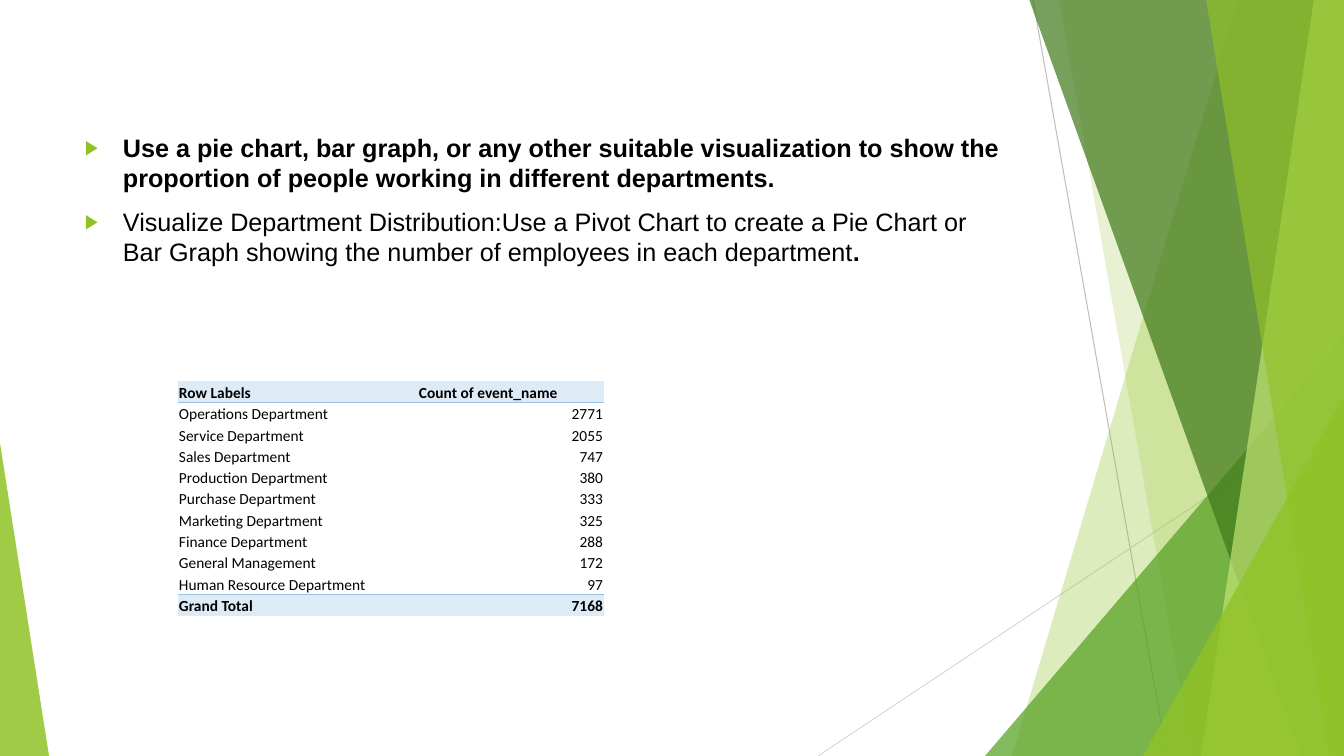
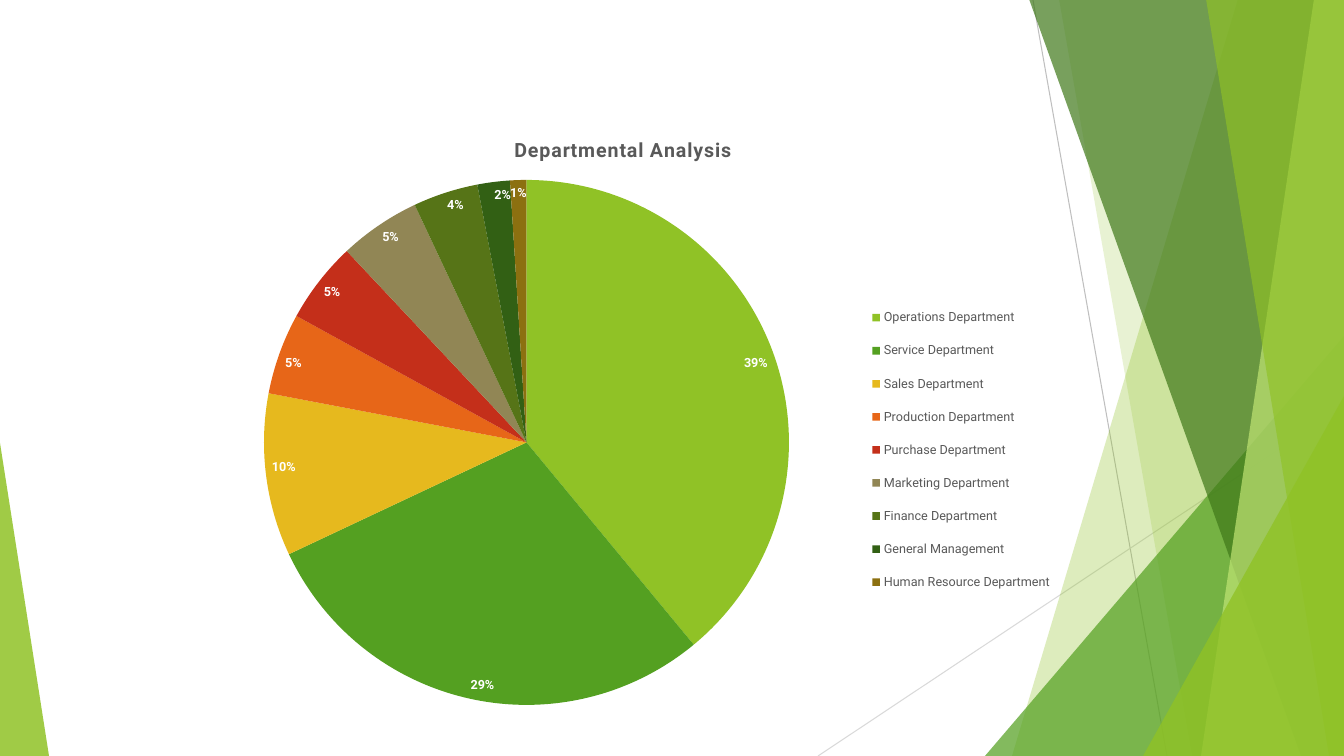
from lxml import etree
from pptx import Presentation
from pptx import util as u
from pptx.chart.data import CategoryChartData
from pptx.dml.color import RGBColor
from pptx.enum import chart as ch, shapes, text
from pptx.oxml import parse_xml
from pptx.oxml.ns import nsdecls, qn

W, H = 1344, 756
PX = 12192000 // W

LIME = RGBColor(0x90, 0xC2, 0x26)
GREEN = RGBColor(0x54, 0xA0, 0x21)
FOREST = RGBColor(0x3F, 0x78, 0x19)
PALE = RGBColor(0xC0, 0xE4, 0x74)
BLACK = RGBColor(0, 0, 0)
WHITE = RGBColor(0xFF, 0xFF, 0xFF)
GREY = RGBColor(0x59, 0x59, 0x59)
LINE_DARK = RGBColor(0xBF, 0xBF, 0xBF)
LINE_LIGHT = RGBColor(0xD9, 0xD9, 0xD9)
HEAD_FILL = RGBColor(0xDD, 0xEB, 0xF7)
HEAD_RULE = RGBColor(0x9B, 0xC2, 0xE6)
SLICES = [LIME, GREEN] + [RGBColor.from_string(c) for c in (
    "E6B91E", "E76618", "C42F1A", "918655", "567417", "326014", "8C7010")]

DEPARTMENTS = {
    "Operations Department": 2771,
    "Service Department": 2055,
    "Sales Department": 747,
    "Production Department": 380,
    "Purchase Department": 333,
    "Marketing Department": 325,
    "Finance Department": 288,
    "General Management": 172,
    "Human Resource Department": 97,
}
TOTAL = sum(DEPARTMENTS.values())
BULLETS = [
    [("Use a pie chart, bar graph, or any other suitable visualization to show the "
      "proportion of people working in different departments.", True)],
    [("Visualize Department Distribution:Use a Pivot Chart to create a Pie Chart or "
      "Bar Graph showing the number of employees in each department", False),
     (".", True)],
]
NO_STYLE = "{2D5ABB26-0587-4C30-8999-92F81FD0307C}"


def px(*lengths):
    return [u.Emu(n * PX) for n in lengths]


def set_font(font, name, size, color, bold=False):
    font.name, font.size, font.bold = name, u.Pt(size), bold
    font.color.rgb = color


def paint(sp, color, opacity):
    sp.shadow.inherit = False
    sp.line.fill.background()
    sp.fill.solid()
    sp.fill.fore_color.rgb = color
    clr = sp.fill._xPr.find(".//" + qn("a:srgbClr"))
    etree.SubElement(clr, qn("a:alpha"), val=str(opacity * 1000))


def add_line(s, ends, color):
    ln = s.shapes.add_connector(shapes.MSO_CONNECTOR.STRAIGHT, *px(*ends))
    ln.line.color.rgb = color
    ln.line.width = u.Pt(0.75)
    etree.SubElement(ln._element.spPr, qn("a:effectLst"))


def add_band(s, top_x, bottom_x, color, opacity):
    fb = s.shapes.build_freeform(top_x, -1, scale=PX)
    fb.add_line_segments([(W, -1), (W, H), (bottom_x, H)], close=True)
    paint(fb.convert_to_shape(), color, opacity)


def add_corner(s, x, width, height, apex, color, opacity):
    sp = s.shapes.add_shape(shapes.MSO_SHAPE.ISOSCELES_TRIANGLE,
                            *px(x, H - height, width, height))
    sp.adjustments[0] = apex
    paint(sp, color, opacity)


def add_facets(s):
    add_line(s, (1033, 0, 1167, H), LINE_DARK)
    add_line(s, (W, 406, 818, H), LINE_LIGHT)
    add_band(s, 1238, 1012, LIME, 30)
    add_band(s, 1059, 1192, LIME, 20)
    add_corner(s, 985, 359, 420, 1, GREEN, 72)
    add_band(s, 1029, 1301, FOREST, 70)
    add_band(s, 1314, 1201, PALE, 70)
    add_band(s, 1206, 1329, LIME, 65)
    add_corner(s, 1143, 201, 360, 1, LIME, 80)
    add_corner(s, 0, 49, 313, 0, LIME, 85)


def add_bullets(s, box):
    tf = s.shapes.add_textbox(*px(*box)).text_frame
    tf.word_wrap = True
    for i, runs in enumerate(BULLETS):
        p = tf.paragraphs[0] if i == 0 else tf.add_paragraph()
        p.space_before = u.Pt(10)
        pPr = p._p.get_or_add_pPr()
        pPr.set("marL", str(38 * PX))
        pPr.set("indent", str(-38 * PX))
        clr = etree.SubElement(pPr, qn("a:buClr"))
        etree.SubElement(clr, qn("a:srgbClr"), val=str(LIME))
        etree.SubElement(pPr, qn("a:buSzPct"), val="80000")
        etree.SubElement(pPr, qn("a:buFont"), typeface="Arial")
        etree.SubElement(pPr, qn("a:buChar"), char="▶")
        for words, bold in runs:
            r = p.add_run()
            r.text = words
            set_font(r.font, "Arial", 18, BLACK, bold)


def add_rule_below(cell):
    cell._tc.get_or_add_tcPr().append(parse_xml(
        f'<a:lnB {nsdecls("a")} w="6350"><a:solidFill>'
        f'<a:srgbClr val="{HEAD_RULE}"/></a:solidFill></a:lnB>'))


def fill_cell(cell, words, right, strong, ruled):
    cell.margin_left = cell.margin_right = cell.margin_top = PX
    cell.margin_bottom = 0
    cell.vertical_anchor = text.MSO_ANCHOR.BOTTOM
    if ruled:
        add_rule_below(cell)
    if strong:
        cell.fill.solid()
        cell.fill.fore_color.rgb = HEAD_FILL
    else:
        cell.fill.background()
    p = cell.text_frame.paragraphs[0]
    if not words:
        etree.SubElement(p._p, qn("a:endParaRPr"), sz="1100")
        return
    p.alignment = text.PP_ALIGN.RIGHT if right else text.PP_ALIGN.LEFT
    r = p.add_run()
    r.text = words
    set_font(r.font, "Calibri", 11, BLACK, strong)


def add_count_table(s, box):
    rows = [("", ""), ("Row Labels", "Count of event_name")]
    rows += [(name, str(n)) for name, n in DEPARTMENTS.items()]
    rows.append(("Grand Total", str(TOTAL)))
    last = len(rows) - 1
    tbl = s.shapes.add_table(len(rows), 2, *px(*box)).table
    tbl._tbl.tblPr.find(qn("a:tableStyleId")).text = NO_STYLE
    tbl.first_row = tbl.horz_banding = False
    tbl.columns[0].width, tbl.columns[1].width = px(240, box[2] - 240)
    for i, row in enumerate(rows):
        for j, words in enumerate(row):
            fill_cell(tbl.cell(i, j), words, j == 1 and i > 1,
                      i in (1, last), i in (1, last - 1))


def manual_layout(box, inner, target=""):
    x, y, w, h = (a / b for a, b in zip(inner, (box[2], box[3]) * 2))
    return parse_xml(
        f'<c:layout {nsdecls("c")}><c:manualLayout>{target}'
        '<c:xMode val="edge"/><c:yMode val="edge"/>'
        f'<c:x val="{x:.4f}"/><c:y val="{y:.4f}"/>'
        f'<c:w val="{w:.4f}"/><c:h val="{h:.4f}"/></c:manualLayout></c:layout>')


def add_department_pie(s, box):
    data = CategoryChartData()
    data.categories = list(DEPARTMENTS)
    data.add_series("Series 1", [round(100 * n / TOTAL) for n in DEPARTMENTS.values()])
    chart = s.shapes.add_chart(ch.XL_CHART_TYPE.PIE, *px(*box), data).chart
    set_font(chart.font, "Roboto", 10, BLACK)

    chart.has_title = True
    r = chart.chart_title.text_frame.paragraphs[0].add_run()
    r.text = "Departmental Analysis"
    set_font(r.font, "Roboto", 14, GREY, True)
    r.font._element.set("spc", "50")

    chart.has_legend = True
    chart.legend.position = ch.XL_LEGEND_POSITION.RIGHT
    chart.legend.include_in_layout = False
    set_font(chart.legend.font, "Roboto", 9, GREY)
    chart.legend._element.find(qn("c:legendPos")).addnext(
        manual_layout(box, (706, 177, 190, 316)))

    plot = chart.plots[0]
    plot.vary_by_categories = True
    for i, color in enumerate(SLICES):
        fill = plot.series[0].points[i].format.fill
        fill.solid()
        fill.fore_color.rgb = color
    labels = plot.series[0].data_labels
    labels.show_percentage, labels.show_value = True, False
    labels.number_format, labels.number_format_is_linked = "0%", False
    labels.position = ch.XL_LABEL_POSITION.INSIDE_END
    set_font(labels.font, "Roboto", 9, WHITE, True)

    area = chart._chartSpace.chart.plotArea
    for old in area.findall(qn("c:layout")):
        area.remove(old)
    area.insert(0, manual_layout(box, (104, 65, 525, 525),
                                 '<c:layoutTarget val="inner"/>'))


def new_slide(prs):
    s = prs.slides.add_slide(prs.slide_layouts[6])
    add_facets(s)
    return s


def main():
    prs = Presentation()
    prs.slide_width, prs.slide_height = px(W, H)
    s = new_slide(prs)
    add_bullets(s, (75, 127, 948, 539))
    add_count_table(s, (178, 360, 426, 256))
    add_department_pie(new_slide(prs), (160, 115, 926, 605))
    prs.save("out.pptx")


if __name__ == "__main__":
    main()
